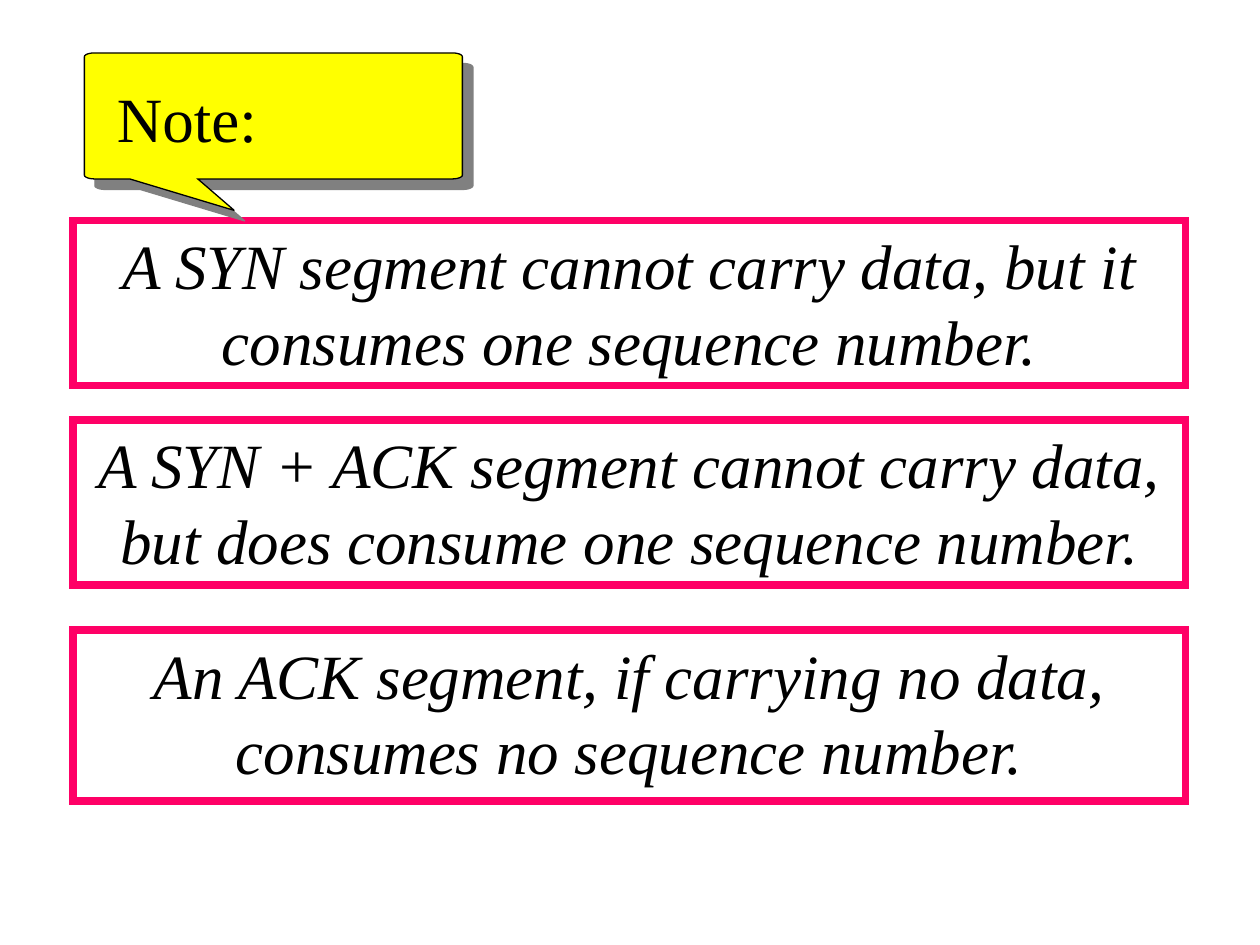
import math

import pptx
import pptx.dml.color
import pptx.enum.shapes
import pptx.enum.text
import pptx.oxml
import pptx.oxml.ns
import pptx.util

Inches, Pt = pptx.util.Inches, pptx.util.Pt

COLOURS = {
    "paper": "FFFFFF",
    "frame": "FF0066",
    "note": "FFFF00",
    "ink": "000000",
    "shadow": "808080",
}
FONT = {"name": "Times New Roman", "size": Pt(36)}
RULE_SPACING = {
    "alignment": pptx.enum.text.PP_ALIGN.CENTER,
    "space_before": Pt(12),
    "space_after": Pt(10),
}
RULE_LEFT, RULE_WIDTH = 0.58, 8.83
# Top, height and wording of each framed rule
RULES = [
    (1.75, 1.31, "A SYN segment cannot carry data, but it consumes one sequence number."),
    (3.33, 1.31, "A SYN + ACK segment cannot carry data, but does consume one sequence number."),
    (5.00, 1.36, "An ACK segment, if carrying no data, consumes no sequence number."),
]


def rgb(name):
    return pptx.dml.color.RGBColor.from_string(COLOURS[name])


def apply(target, values):
    for attribute, value in values.items():
        setattr(target, attribute, value)


def paint(shape, fill, line, width):
    """Fill and outline the shape, with sharp line corners and no shadow."""
    shape.shadow.inherit = False
    shape.fill.solid()
    shape.fill.fore_color.rgb = rgb(fill)
    shape.line.color.rgb = rgb(line)
    shape.line.width = Pt(width)
    outline = shape._element.spPr.find(pptx.oxml.ns.qn("a:ln"))
    outline.append(pptx.oxml.parse_xml(
        f'<a:miter {pptx.oxml.ns.nsdecls("a")} lim="800000"/>'))


def write(shape, wording, wrap, italic=False, spacing=None):
    frame = shape.text_frame
    apply(frame, {
        "word_wrap": wrap,
        "auto_size": pptx.enum.text.MSO_AUTO_SIZE.SHAPE_TO_FIT_TEXT,
        "vertical_anchor": pptx.enum.text.MSO_ANCHOR.TOP,
    })
    paragraph = frame.paragraphs[0]
    apply(paragraph, spacing or {})
    run = paragraph.add_run()
    run.text = wording
    apply(run.font, {**FONT, "italic": italic})
    run.font.color.rgb = rgb("ink")


def add_rule(slide, top, height, wording):
    rule = slide.shapes.add_shape(
        pptx.enum.shapes.MSO_SHAPE.RECTANGLE,
        Inches(RULE_LEFT), Inches(top), Inches(RULE_WIDTH), Inches(height))
    paint(rule, "paper", "frame", 4.5)
    write(rule, wording, True, italic=True, spacing=RULE_SPACING)


def add_shadow(shape, distance):
    """Give the shape a hard shadow towards the lower right."""
    effects = shape._element.spPr.find(pptx.oxml.ns.qn("a:effectLst"))
    effects.append(pptx.oxml.parse_xml(
        f'<a:outerShdw {pptx.oxml.ns.nsdecls("a")} blurRad="0" '
        f'dist="{Pt(distance)}" dir="2700000" algn="ctr" rotWithShape="0">'
        f'<a:srgbClr val="{COLOURS["shadow"]}"/></a:outerShdw>'))


def corner(x, y, start, radius_x=0.08, radius_y=0.03, steps=6):
    """Points of a clockwise quarter ellipse around (x, y)."""
    angles = [math.radians(start + 90 * i / steps) for i in range(steps + 1)]
    return [(x + radius_x * math.cos(a), y + radius_y * math.sin(a)) for a in angles]


def add_callout(slide):
    left, right, top, bottom = 0.75, 3.59, 0.45, 1.39
    tail = [(1.57, 1.42), (1.86, 1.67), (1.03, 1.42)]
    outline = (corner(left, top, 180) + corner(right, top, 270)
               + corner(right, bottom, 0) + tail + corner(left, bottom, 90))
    # The builder rounds to whole units, so lengths go in as EMU
    points = [(Inches(x), Inches(y)) for x, y in outline]
    builder = slide.shapes.build_freeform(*points[0])
    builder.add_line_segments(points[1:], close=True)
    callout = builder.convert_to_shape()
    paint(callout, "note", "ink", 0.75)
    add_shadow(callout, 8.5)


def add_label(slide, wording):
    label = slide.shapes.add_textbox(Inches(0.83), Inches(0.58), Inches(1.31), Inches(0.7))
    write(label, wording, False)


def main():
    deck = pptx.Presentation()
    deck.slide_width, deck.slide_height = Inches(10), Inches(7.5)
    slide = deck.slides.add_slide(deck.slide_layouts[6])
    first, *others = RULES
    add_rule(slide, *first)
    add_callout(slide)
    add_label(slide, "Note:")
    for rule in others:
        add_rule(slide, *rule)
    deck.save("out.pptx")


if __name__ == "__main__":
    main()
